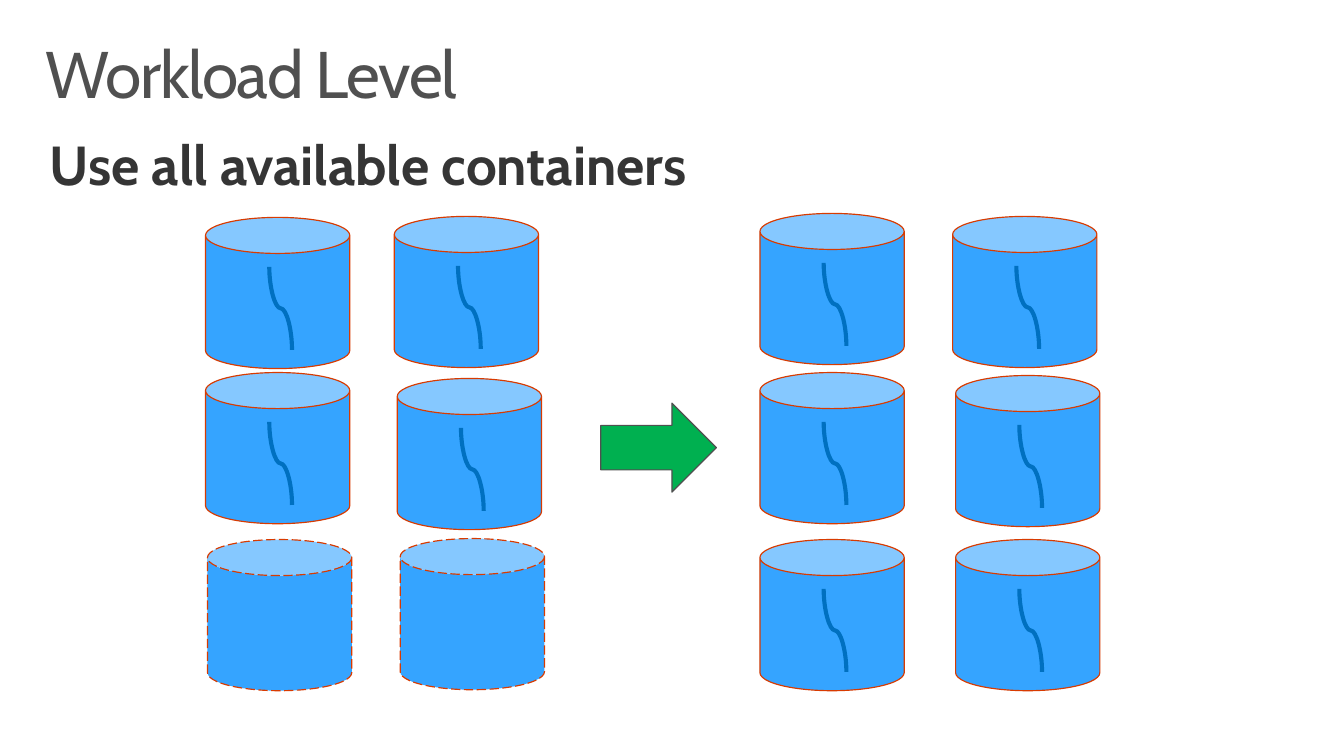
import pptx
import pptx.util
import pptx.dml.color
import pptx.enum.dml
import pptx.enum.shapes
import pptx.enum.text
import pptx.oxml.ns
import lxml.etree

Inches = pptx.util.Inches
Pt = pptx.util.Pt
RGBColor = pptx.dml.color.RGBColor
SHAPE = pptx.enum.shapes.MSO_SHAPE

TITLE_GREY = RGBColor(0x50, 0x50, 0x50)
TEXT_GREY = RGBColor(0x35, 0x35, 0x35)
CONTAINER_BLUE = RGBColor(0x35, 0xA4, 0xFF)
OUTLINE_ORANGE = RGBColor(0xD8, 0x3B, 0x01)
THREAD_BLUE = RGBColor(0x00, 0x70, 0xC0)
ARROW_GREEN = RGBColor(0x00, 0xB0, 0x50)

CAN_WIDTH, CAN_HEIGHT = 1.46, 1.53
THREAD_LENGTH, THREAD_WIDTH = 0.84, 0.23

# Left, top and whether a workload thread runs inside
BEFORE_CONTAINERS = [
    (2.08, 2.2, True), (3.99, 2.19, True),
    (2.08, 3.77, True), (4.02, 3.83, True),
    (2.1, 5.46, False), (4.05, 5.45, False),
]
AFTER_CONTAINERS = [
    (7.69, 2.16, True), (9.64, 2.19, True),
    (7.69, 3.77, True), (9.67, 3.8, True),
    (7.69, 5.46, True), (9.67, 5.46, True),
]


def set_values(target, values):
    for name, value in values.items():
        setattr(target, name, value)


def write_text(box, text, margins, font_values, para_values):
    """Fill a text box or placeholder with one left-aligned line."""
    frame = box.text_frame
    side, edge = (Inches(margin) for margin in margins)
    set_values(frame, {
        "word_wrap": True,
        "auto_size": pptx.enum.text.MSO_AUTO_SIZE.NONE,
        "vertical_anchor": pptx.enum.text.MSO_ANCHOR.TOP,
        "margin_left": side, "margin_right": side,
        "margin_top": edge, "margin_bottom": edge,
    })
    para = frame.paragraphs[0]
    set_values(para, {"alignment": pptx.enum.text.PP_ALIGN.LEFT,
                      "line_spacing": 0.9, **para_values})
    span = para.add_run()
    span.text = text
    color = font_values.pop("color")
    set_values(span.font, {"name": "Cabin", **font_values})
    span.font.color.rgb = color
    return span


def add_solid(shapes, preset, box, fill, outline):
    solid = shapes.add_shape(preset, *(Inches(length) for length in box))
    solid.shadow.inherit = False
    solid.fill.solid()
    solid.fill.fore_color.rgb = fill
    solid.line.color.rgb = outline
    solid.line.width = Pt(0.85)
    return solid


def add_thread(shapes, left, top):
    """Draw the curved workload line, turned upright about its centre."""
    center_x, center_y = left + 0.76, top + 0.92
    half_length, half_width = THREAD_LENGTH / 2, THREAD_WIDTH / 2
    thread = shapes.add_connector(
        pptx.enum.shapes.MSO_CONNECTOR.CURVE,
        Inches(center_x + half_length), Inches(center_y - half_width),
        Inches(center_x - half_length), Inches(center_y + half_width))
    thread.line.color.rgb = THREAD_BLUE
    thread.line.width = Pt(3)
    properties = thread._element.spPr
    properties.find(pptx.oxml.ns.qn("a:xfrm")).set("rot", str(270 * 60000))
    lxml.etree.SubElement(properties, pptx.oxml.ns.qn("a:effectLst"))


def add_container(page, left, top, busy):
    shapes = page.shapes.add_group_shape().shapes if busy else page.shapes
    can = add_solid(shapes, SHAPE.CAN, (left, top, CAN_WIDTH, CAN_HEIGHT),
                    CONTAINER_BLUE, OUTLINE_ORANGE)
    if busy:
        add_thread(shapes, left, top)
    else:
        can.line.dash_style = pptx.enum.dml.MSO_LINE.LONG_DASH


def add_headings(page, left, top, width):
    # Title
    title = page.shapes.title
    set_values(title, {"left": Inches(left), "top": Inches(top),
                       "width": Inches(width), "height": Inches(1)})
    span = write_text(title, "Workload Level", (0.16, 0.1),
                      {"size": Pt(48), "color": TITLE_GREY}, {})
    span.font._element.set("spc", "-100")

    # Subtitle
    subtitle = page.shapes.add_textbox(Inches(left), Inches(top + 0.92),
                                       Inches(7.75), Inches(1.38))
    write_text(subtitle, "Use all available containers", (0.2, 0.16),
               {"size": Pt(40), "bold": True, "color": TEXT_GREY},
               {"space_after": Pt(6)})


def build_workload_slide(deck):
    page = deck.slides.add_slide(deck.slide_layouts[5])
    add_headings(page, 0.3, 0.32, 13)

    # Containers before and after, with the arrow between them
    for container in BEFORE_CONTAINERS + AFTER_CONTAINERS:
        add_container(page, *container)
    add_solid(page.shapes, SHAPE.RIGHT_ARROW, (6.08, 4.08, 1.17, 0.9),
              ARROW_GREEN, TITLE_GREY)


def main():
    deck = pptx.Presentation()
    deck.slide_width, deck.slide_height = Inches(13.6), Inches(7.65)
    build_workload_slide(deck)
    deck.save("out.pptx")


if __name__ == "__main__":
    main()
